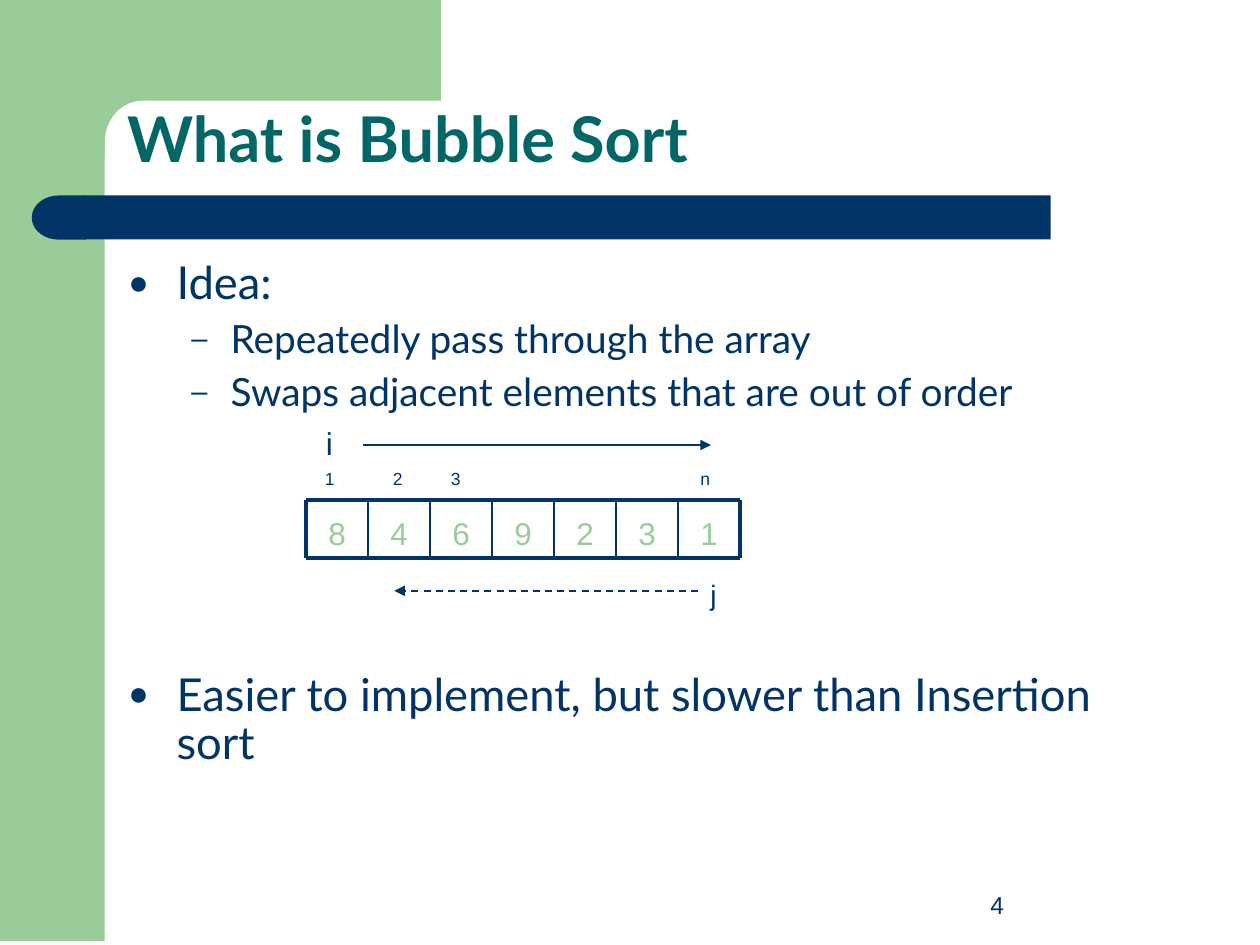
import math

from lxml import etree
from pptx import Presentation
from pptx.dml.color import RGBColor
from pptx.enum.dml import MSO_LINE
from pptx.enum.shapes import MSO_CONNECTOR, MSO_SHAPE
from pptx.enum.text import MSO_ANCHOR, MSO_AUTO_SIZE, PP_ALIGN
from pptx.oxml.ns import qn
from pptx.util import Cm, Pt

RECTANGLE = MSO_SHAPE.RECTANGLE
DELAY = MSO_SHAPE.FLOWCHART_DELAY
STRAIGHT = MSO_CONNECTOR.STRAIGHT
DASH = MSO_LINE.DASH
TOP, BOTTOM = MSO_ANCHOR.TOP, MSO_ANCHOR.BOTTOM
LEFT, CENTER = PP_ALIGN.LEFT, PP_ALIGN.CENTER
NO_AUTOFIT = MSO_AUTO_SIZE.NONE

NAVY, GREEN, TEAL = "003366", "99CC99", "006666"


def color(value):
    """Return the colour for a hex string."""
    return RGBColor.from_string(value)


def apply(target, values):
    """Set every attribute named in a dict of format values."""
    for name, value in values.items():
        setattr(target, name, value)


class SlideBuilder:
    """Hold the style and the current slide."""

    body_font = "Lato"
    label_font = "Arial"
    levels = [
        {"size": 25.9, "margin": 0.97, "hanging": 0.97, "bullet": "●"},
        {"size": 22.2, "margin": 2.06, "hanging": 0.79, "bullet": "–"},
    ]

    def __init__(self, slide):
        """Keep the slide to draw on."""
        self.slide = slide

    def style_font(self, font, name, size, hex_color, bold=False):
        """Format a font."""
        apply(font, {"name": name, "size": Pt(size), "bold": bold})
        font.color.rgb = color(hex_color)

    def paint(self, shape, hex_color):
        """Give a shape a plain fill without outline or shadow."""
        shape.shadow.inherit = False
        shape.fill.solid()
        shape.fill.fore_color.rgb = color(hex_color)
        shape.line.fill.background()

    def block(self, kind, left, top, width, height, hex_color):
        """Add a filled preset shape."""
        shape = self.slide.shapes.add_shape(kind, Cm(left), Cm(top), Cm(width), Cm(height))
        self.paint(shape, hex_color)
        return shape

    def outline(self, points, hex_color):
        """Add a filled freeform through the given points."""
        corners = [(Cm(x), Cm(y)) for x, y in points]
        builder = self.slide.shapes.build_freeform(*corners[0])
        builder.add_line_segments(corners[1:], close=True)
        self.paint(builder.convert_to_shape(), hex_color)

    def title(self, text, left, top, width, height):
        """Place and format the title placeholder."""
        shape = self.slide.shapes.title
        apply(shape, {"left": Cm(left), "top": Cm(top), "width": Cm(width), "height": Cm(height)})
        frame = shape.text_frame
        frame.text = text
        apply(frame, {"word_wrap": True, "vertical_anchor": BOTTOM, "auto_size": NO_AUTOFIT})
        paragraph = frame.paragraphs[0]
        apply(paragraph, {"alignment": LEFT, "line_spacing": 0.9})
        self.style_font(paragraph.font, self.body_font, 36, TEAL, bold=True)

    def text_box(self, left, top, width, height, wrap=True, anchor=TOP):
        """Add an empty text box and return its text frame."""
        shape = self.slide.shapes.add_textbox(Cm(left), Cm(top), Cm(width), Cm(height))
        apply(shape.text_frame, {"word_wrap": wrap, "vertical_anchor": anchor})
        return shape.text_frame

    def label(self, text, left, top, width, height, size,
              hex_color=NAVY, align=LEFT, wrap=True, anchor=TOP):
        """Add a one-line label."""
        paragraph = self.text_box(left, top, width, height, wrap, anchor).paragraphs[0]
        paragraph.text = text
        paragraph.alignment = align
        self.style_font(paragraph.font, self.label_font, size, hex_color)

    def bullets(self, items, left, top, width, height):
        """Add a bulleted list from text, level and space-before triples."""
        frame = self.text_box(left, top, width, height)
        for index, (text, level, space) in enumerate(items):
            paragraph = frame.paragraphs[0] if index == 0 else frame.add_paragraph()
            paragraph.text = text
            style = self.levels[level]
            properties = paragraph._p.get_or_add_pPr()
            properties.set("marL", str(Cm(style["margin"])))
            properties.set("indent", str(-Cm(style["hanging"])))
            bullet_color = etree.SubElement(properties, qn("a:buClr"))
            etree.SubElement(bullet_color, qn("a:srgbClr"), val=NAVY)
            etree.SubElement(properties, qn("a:buSzPct"), val="75000")
            etree.SubElement(properties, qn("a:buFont"), typeface=self.label_font)
            etree.SubElement(properties, qn("a:buChar"), char=style["bullet"])
            apply(paragraph, {"level": level, "line_spacing": 0.9, "space_before": Pt(space)})
            self.style_font(paragraph.font, self.body_font, style["size"], NAVY)

    def line(self, start, end, width, arrow=False, dash=None):
        """Add a straight line, with an arrowhead at its end if asked."""
        points = [Cm(value) for value in (*start, *end)]
        connector = self.slide.shapes.add_connector(STRAIGHT, *points)
        connector.line.color.rgb = color(NAVY)
        apply(connector.line, {"width": Pt(width), "dash_style": dash})
        if arrow:
            etree.SubElement(connector.line._get_or_add_ln(), qn("a:tailEnd"), type="triangle")
        etree.SubElement(connector._element.spPr, qn("a:effectLst"))

    def array(self, values, left, top, cell_width, height):
        """Draw a row of values in ruled cells."""
        right, bottom = left + len(values) * cell_width, top + height
        for index, value in enumerate(values):
            self.label(value, left + index * cell_width, top, cell_width, height, 18,
                       GREEN, CENTER, anchor=BOTTOM)
        for y in (top, bottom):
            self.line((left, y), (right, y), 2.25)
        for index in range(len(values) + 1):
            x = left + index * cell_width
            self.line((x, top), (x, bottom), 2.25 if index in (0, len(values)) else 1)


def main():
    """Build the bubble sort slide."""
    presentation = Presentation()
    apply(presentation, {"slide_width": Cm(25.4), "slide_height": Cm(19.05)})
    slide = presentation.slides.add_slide(presentation.slide_layouts[5])
    builder = SlideBuilder(slide)

    builder.block(RECTANGLE, 0, -0.08, 2.11, 19.05, GREEN)
    angles = [math.radians(degrees) for degrees in range(90, 181, 10)]
    corner = [(2.87 + 0.76 * math.cos(a), 2.87 - 0.84 * math.sin(a)) for a in angles]
    builder.outline([(8.89, -0.08), (8.89, 2.03), *corner,
                     (2.11, 3.18), (1.27, 3.18), (1.27, -0.08)], GREEN)
    builder.block(RECTANGLE, 1.7, 3.94, 19.48, 0.89, NAVY)
    cap = builder.block(DELAY, 0.64, 3.94, 1.09, 0.89, NAVY)
    cap.rotation = 180

    builder.title("What is Bubble Sort", 2.31, 0.91, 21.62, 2.77)
    builder.bullets([
        ("Idea:", 0, 0),
        ("Repeatedly pass through the array", 1, 6),
        ("Swaps adjacent elements that are out of order", 1, 6),
        ("Easier to implement, but slower than Insertion sort", 0, 147),
    ], 2.34, 5.13, 21.36, 11.81)

    for text, left in (("1", 6.3), ("2", 7.67), ("3", 8.84), ("n", 13.87)):
        builder.label(text, left, 9.3, 0.64, 0.69, 10)
    builder.label("i", 6.32, 8.43, 0.64, 1.02, 18, wrap=False)
    builder.line((7.32, 8.97), (14.33, 8.97), 0.75, arrow=True)
    builder.array("8469231", 6.17, 10.08, 1.25, 1.17)
    builder.label("j", 14.07, 11.51, 0.64, 0.94, 16, wrap=False)
    builder.line((14.07, 11.91), (7.95, 11.91), 1, arrow=True, dash=DASH)
    builder.label("4", 16.08, 17.35, 8.05, 1.32, 14, align=CENTER, anchor=BOTTOM)

    presentation.save("out.pptx")


if __name__ == "__main__":
    main()
